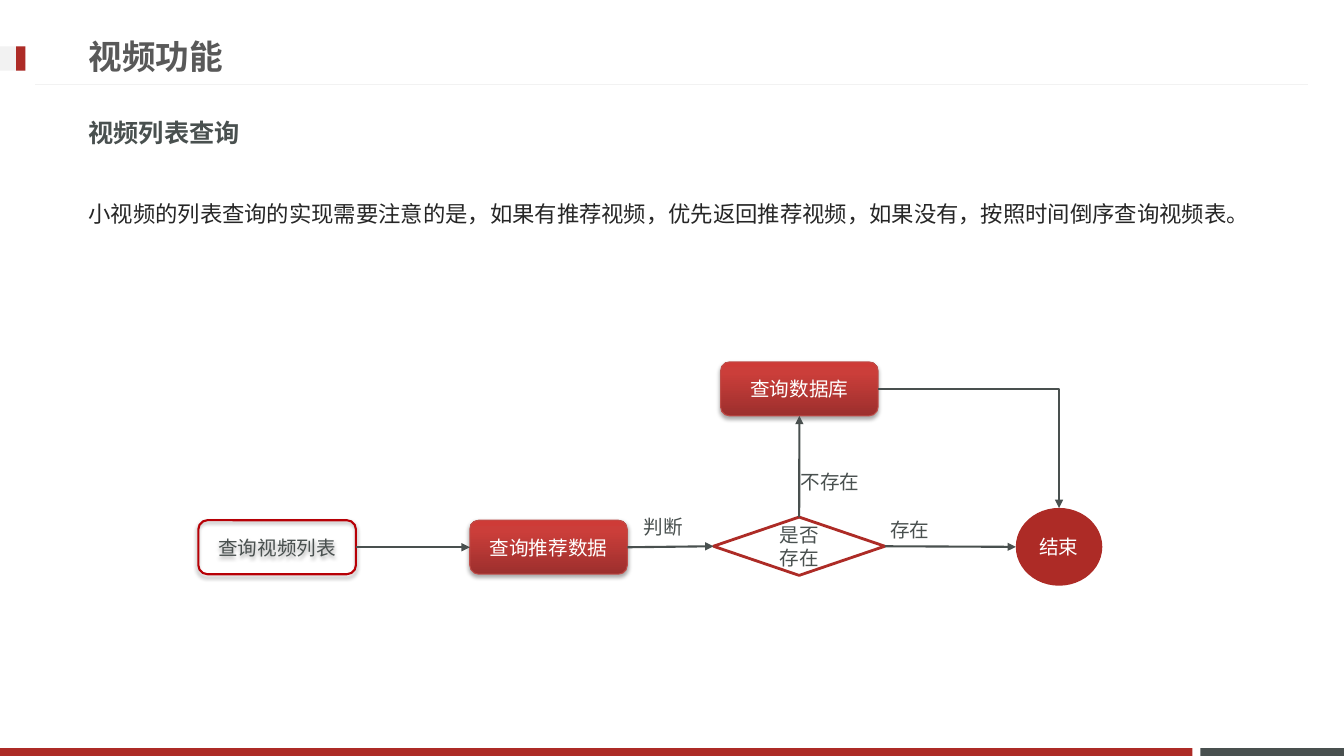
from copy import deepcopy
from lxml.etree import SubElement as Sub
from pptx import Presentation
from pptx.dml.color import RGBColor as Rgb
from pptx.enum.shapes import MSO_CONNECTOR as Link, MSO_SHAPE as Kind
from pptx.enum.text import MSO_ANCHOR as Anchor, PP_ALIGN as Align
from pptx.oxml.ns import qn
from pptx.util import Cm, Pt

HUE = {
    "red": "AD2B26", "slate": "49504F", "pale": "F2F2F2", "ink": "262626",
    "gray": "595959", "white": "FFFFFF", "edge": "BF4C48", "rim": "B70006",
    "deep": "9C2F2D", "warm": "CB3E3A", "top": "CE3B37", "black": "000000",
}
RGB = {name: Rgb.from_string(code) for name, code in HUE.items()}

deck = Presentation()
deck.slide_width, deck.slide_height = Cm(33.87), Cm(19.05)
slide = deck.slides.add_slide(deck.slide_layouts[6])
shapes = slide.shapes


def write(shape, text, face, size, hue, bold=False, align=Align.CENTER,
          anchor=Anchor.MIDDLE, space=None):
    frame = shape.text_frame
    frame.word_wrap = True
    frame.vertical_anchor = anchor
    frame.text = text
    for para in frame.paragraphs:
        para.alignment = align
        para.line_spacing = space
        para.font.color.rgb = RGB[hue]
        look = {"name": face, "size": Pt(size), "bold": bold}
        for key, value in look.items():
            setattr(para.font, key, value)


def draw(kind, box, fill=None, line=None, width=0.75):
    shape = shapes.add_shape(kind, *map(Cm, box))
    shape.shadow.inherit = False
    for part, hue in ((shape.fill, fill), (shape.line.fill, line)):
        if hue:
            part.solid()
            part.fore_color.rgb = RGB[hue]
        else:
            part.background()
    if line:
        shape.line.width = Pt(width)
    return shape


bars = [
    ("slate", (30.25, 18.85, 3.62, 0.2)),
    ("red", (0, 18.85, 30.05, 0.2)),
    ("pale", (0, 1.17, 0.64, 0.61)),
    ("red", (0.41, 1.17, 0.23, 0.61)),
]
for hue, box in bars:
    draw(Kind.RECTANGLE, box, hue)

mono = "Courier New"
label = {"face": mono, "size": 14, "hue": "slate"}
left = {"align": Align.LEFT}
texts = [
    ("视频功能", (1.98, 0.69, 24.36, 1.45),
     {"face": mono, "size": 24, "hue": "gray", "bold": True, **left}),
    ("视频列表查询", (1.98, 2.62, 29.87, 1.45),
     {"face": mono, "size": 18, "hue": "slate", "bold": True, **left}),
    ("小视频的列表查询的实现需要注意的是，如果有推荐视频，优先返回推荐视频，如果没有，按照时间倒序查询视频表。",
     (1.98, 4.57, 29.87, 3.07),
     {"face": "Arial", "size": 16, "hue": "ink", "anchor": Anchor.TOP,
      "space": 1.5, **left}),
    ("判断", (14.73, 12.7, 3.99, 1.14), label),
    ("不存在", (18.92, 11.58, 3.99, 1.14), label),
    ("存在", (20.93, 12.78, 3.99, 1.14), label),
]
for text, box, style in texts:
    write(shapes.add_textbox(*map(Cm, box)), text, **style)

test = draw(Kind.FLOWCHART_DECISION, (17.98, 13.03, 4.32, 1.47), None, "red", 2)
write(test, "是否\n存在", "Calibri", 14, "slate")
end = draw(Kind.FLOWCHART_CONNECTOR, (25.6, 12.8, 2.18, 1.96), "red")
write(end, "结束", "Calibri", 14, "white")

steps = []
for text, x, y, full in [
    ("查询视频列表", 5, 13.11, False),
    ("查询推荐数据", 11.84, 13.11, True),
    ("查询数据库", 18.16, 9.12, True),
]:
    line, width = ("edge", 0.75) if full else ("rim", 1.5)
    step = draw(Kind.ROUNDED_RECTANGLE, (x, y, 3.97, 1.36), None, line, width)
    write(step, text, "Calibri", 14, "white" if full else "slate")
    props = step.element.spPr
    if full:
        step.fill.gradient()
        step.fill.gradient_angle = 90
        stops = props.find(".//" + qn("a:gsLst"))
        stops.append(deepcopy(stops[-1]))
        marks = [(0, "deep"), (0.8, "warm"), (1, "top")]
        for stop, (place, hue) in zip(step.fill.gradient_stops, marks):
            stop.position = place
            stop.color.rgb = RGB[hue]
    cast = Sub(props.find(qn("a:effectLst")), qn("a:outerShdw"),
               blurRad=str(Pt(3.1)), dist=str(Pt(1.8)), dir="5400000",
               rotWithShape="0")
    tone = Sub(cast, qn("a:srgbClr"), val=HUE["black"])
    Sub(tone, qn("a:alpha"), val="35000")
    steps.append(step)
first, pick, base = steps

rule = shapes.add_connector(Link.STRAIGHT, Cm(0.89), Cm(2.13), Cm(32.97), Cm(2.13))
rule.line.color.rgb = RGB["pale"]
rule.line.width = Pt(0.75)
Sub(rule.element.spPr, qn("a:effectLst"))

for start, out, goal, into in [
    (first, 3, pick, 1),
    (pick, 3, test, 1),
    (test, 0, base, 2),
    (test, 3, end, 2),
    (base, 3, end, 0),
]:
    bent = start is base
    arrow = shapes.add_connector(Link.ELBOW if bent else Link.STRAIGHT, 0, 0, 0, 0)
    arrow.begin_connect(start, out)
    arrow.end_connect(goal, into)
    if goal is end and not bent:
        arrow.end_x, arrow.end_y = end.left, end.top + end.height // 2
    arrow.line.color.rgb = RGB["slate"]
    arrow.line.width = Pt(1.5)
    props = arrow.element.spPr
    if bent:
        props.find(qn("a:prstGeom")).set("prst", "bentConnector2")
    Sub(props.find(qn("a:ln")), qn("a:tailEnd"), type="triangle")
    Sub(props, qn("a:effectLst"))

deck.save("out.pptx")
